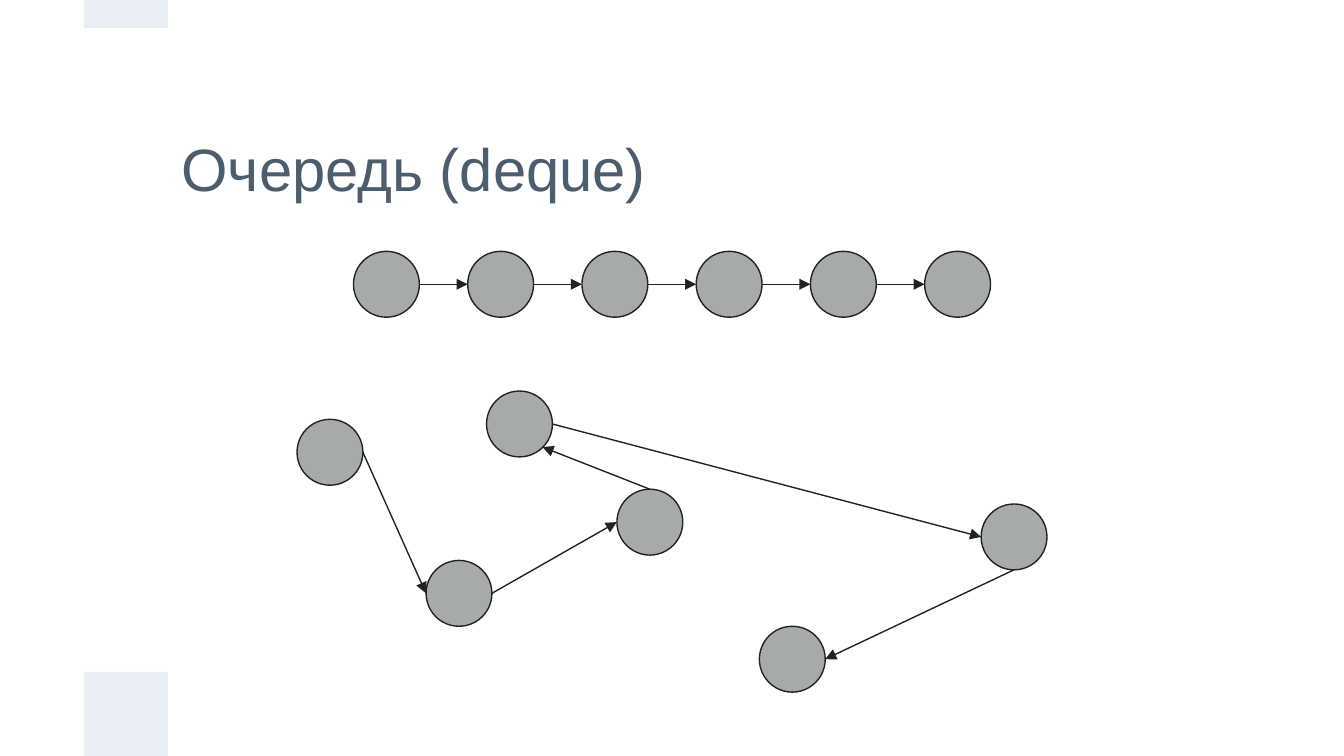
from lxml import etree
from pptx import Presentation
from pptx.dml.color import RGBColor
from pptx.enum import shapes, text
from pptx.oxml import ns
from pptx.util import Inches, Pt

# Content
TITLE = "Очередь (deque)"
ROW = [(2.63 + 0.85 * i, 1.87) for i in range(6)]
WEB = [(2.21, 3.12), (3.17, 4.17), (4.59, 3.64),
       (3.62, 2.91), (7.3, 3.75), (5.65, 4.66)]  # in link order
ROW_ENDS = [("right", "left")] * 5
WEB_ENDS = [("right", "left"), ("right", "left"), ("top", "corner"),
            ("right", "left"), ("bottom", "right")]

# Layout: a 16 by 9 grid of square units
WIDE = 10
UNIT = WIDE / 16
HIGH = UNIT * 9
BARS = [(HIGH - UNIT, UNIT), (0, UNIT / 3)]  # top, height
SIZE = 0.49
SIDES = {"top": (0.5, 0), "left": (0, 0.5), "bottom": (0.5, 1),
         "right": (1, 0.5), "corner": (0.85, 0.85)}

# Colours
PALE = RGBColor(0xE9, 0xED, 0xF4)
SLATE = RGBColor(0x4C, 0x5D, 0x6E)
GRAY = RGBColor(0xA6, 0xAA, 0xA9)
INK = RGBColor(0x22, 0x22, 0x22)


def write(frame, words, size, color, font="Arial", align=text.PP_ALIGN.LEFT):
    frame.word_wrap = True
    frame.auto_size = text.MSO_AUTO_SIZE.NONE
    frame.vertical_anchor = text.MSO_ANCHOR.MIDDLE
    frame.margin_left = frame.margin_right = Inches(0.1)
    frame.margin_top = frame.margin_bottom = Inches(0.1)
    par = frame.paragraphs[0]
    par.alignment = align
    run = par.add_run()
    run.text = words
    run.font.name, run.font.size = font, Pt(size)
    run.font.color.rgb = color


def ink(line):
    line.color.rgb = INK
    line.width = Pt(0.75)


def draw(slide, kind, box, fill):
    shape = slide.shapes.add_shape(kind, *map(Inches, box))
    shape.shadow.inherit = False
    shape.fill.solid()
    shape.fill.fore_color.rgb = fill
    shape.line.fill.background()
    return shape


def link(slide, start, end):
    line = slide.shapes.add_connector(
        shapes.MSO_CONNECTOR.STRAIGHT, *map(Inches, start + end))
    ink(line.line)
    props = line._element.spPr
    etree.SubElement(props.find(ns.qn("a:ln")), ns.qn("a:tailEnd"),
                     type="triangle")
    etree.SubElement(props, ns.qn("a:effectLst"))


def point(node, side):
    return tuple(at + SIZE * part for at, part in zip(node, SIDES[side]))


def chain(slide, nodes, ends):
    for node in nodes:
        ring = draw(slide, shapes.MSO_SHAPE.OVAL, (*node, SIZE, SIZE), GRAY)
        ink(ring.line)
    for a, b, (out, into) in zip(nodes, nodes[1:], ends):
        link(slide, point(a, out), point(b, into))


def main():
    deck = Presentation()
    deck.slide_width, deck.slide_height = Inches(WIDE), Inches(HIGH)
    slide = deck.slides.add_slide(deck.slide_layouts[5])

    # Side bars
    for top, high in BARS:
        draw(slide, shapes.MSO_SHAPE.RECTANGLE, (UNIT, top, UNIT, high), PALE)

    # Title
    title = slide.shapes.title
    title.left, title.top = Inches(2 * UNIT), Inches(UNIT)
    title.width, title.height = Inches(12 * UNIT), Inches(2 * UNIT)
    write(title.text_frame, TITLE, size=32, color=SLATE)

    # Queue in order, then scattered in memory
    chain(slide, ROW, ROW_ENDS)
    chain(slide, WEB, WEB_ENDS)
    deck.save("out.pptx")


if __name__ == "__main__":
    main()
